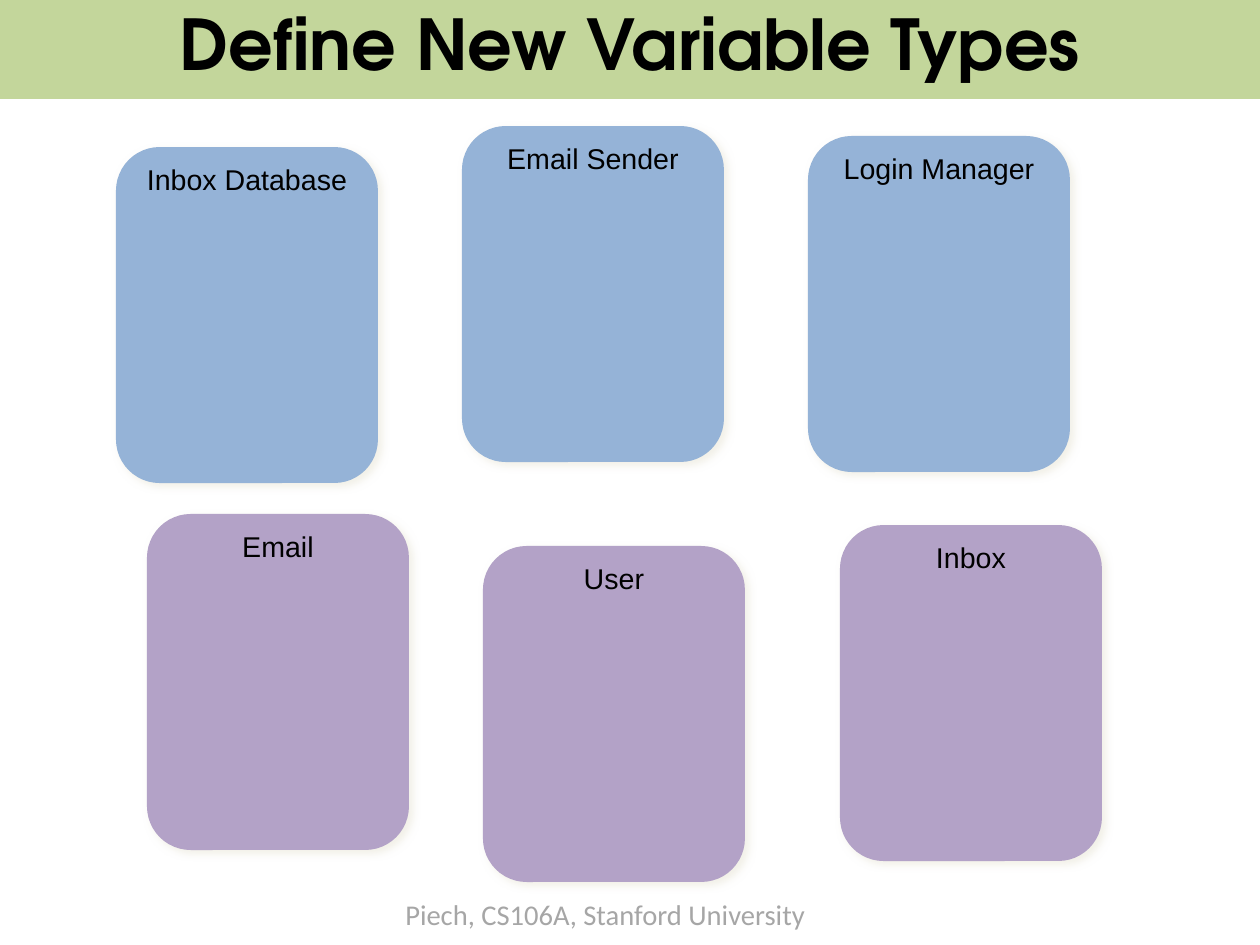
"""Build the slide that lists the new variable types of an email program."""
from lxml.etree import SubElement
from pptx import Presentation
from pptx.dml.color import RGBColor
from pptx.enum.shapes import MSO_SHAPE
from pptx.enum.text import MSO_ANCHOR, MSO_AUTO_SIZE, PP_ALIGN
from pptx.oxml.ns import qn
from pptx.util import Emu, Pt

COLORS = {
    "banner": "C3D69B",
    "service": "95B3D7",
    "data": "B3A2C7",
    "shadow": "EEECE1",
    "text": "000000",
    "credit": "A6A6A6",
}
CARD_WIDTH, CARD_HEIGHT = 262, 336
TYPES = [
    ("Email", "data", 147, 514),
    ("Inbox", "data", 840, 525),
    ("User", "data", 483, 546),
    ("Inbox Database", "service", 116, 147),
    ("Email Sender", "service", 462, 126),
    ("Login Manager", "service", 808, 136),
]


def px(*lengths):
    return [Emu(length * 8000) for length in lengths]


def write(frame, text, font_name, size, color, align, bold=False):
    frame.text = text
    line = frame.paragraphs[0]
    line.alignment = align
    line.line_spacing = 0.93
    font = line.runs[0].font
    font.name, font.size, font.bold = font_name, Pt(size), bold
    font.color.rgb = RGBColor.from_string(COLORS[color])


deck = Presentation()
deck.slide_width, deck.slide_height = px(1260, 945)
slide = deck.slides.add_slide(deck.slide_layouts[5])

credit = slide.shapes.add_textbox(*px(394, 894, 428, 43))
credit.text_frame.word_wrap = False
write(credit.text_frame, "Piech, CS106A, Stanford University", "Calibri", 18, "credit", PP_ALIGN.LEFT)

banner = slide.shapes.title
banner.left, banner.top, banner.width, banner.height = px(0, -4, 1260, 103)
banner.fill.solid()
banner.fill.fore_color.rgb = RGBColor.from_string(COLORS["banner"])
heading = banner.text_frame
heading.auto_size = MSO_AUTO_SIZE.NONE
heading.vertical_anchor = MSO_ANCHOR.MIDDLE
heading.margin_left, heading.margin_right, heading.margin_top, heading.margin_bottom = px(13, 13, 7, 7)
write(heading, "Define New Variable Types", "TeX Gyre Adventor", 44.1, "text", PP_ALIGN.CENTER, True)

for name, role, left, top in TYPES:
    card = slide.shapes.add_shape(MSO_SHAPE.ROUNDED_RECTANGLE, *px(left, top, CARD_WIDTH, CARD_HEIGHT))
    card.fill.solid()
    card.fill.fore_color.rgb = RGBColor.from_string(COLORS[role])
    card.line.fill.background()
    card.shadow.inherit = False
    effects = card.element.spPr.find(qn("a:effectLst"))
    shadow = SubElement(effects, qn("a:outerShdw"), blurRad=str(Pt(5)), dist=str(Pt(3)),
                        dir="2700000", algn="tl", rotWithShape="0")
    tint = SubElement(shadow, qn("a:srgbClr"), val=COLORS["shadow"])
    SubElement(tint, qn("a:alpha"), val="75000")
    card.text_frame.vertical_anchor = MSO_ANCHOR.TOP
    write(card.text_frame, name, "Arial", 18, "text", PP_ALIGN.CENTER)

deck.save("out.pptx")
